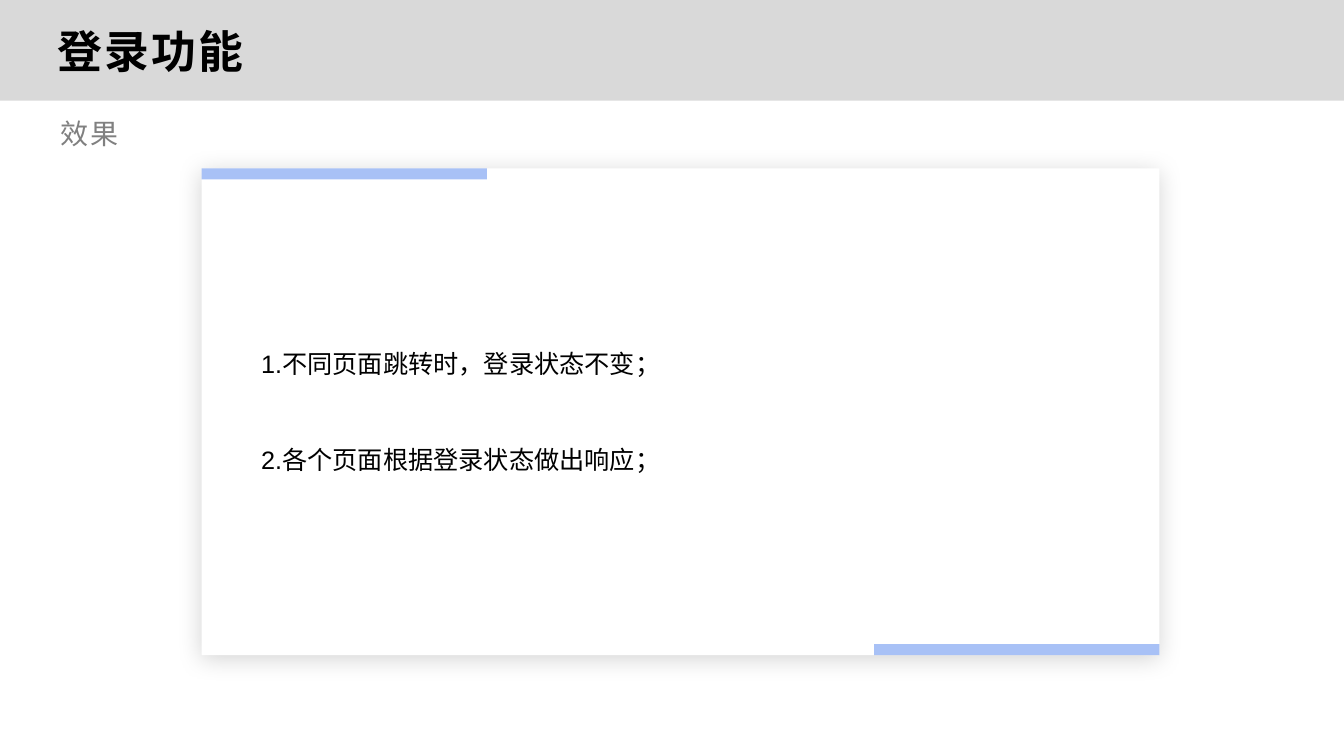
from dataclasses import dataclass
from lxml.etree import SubElement
from pptx import Presentation
from pptx.dml.color import RGBColor
from pptx.enum.shapes import MSO_SHAPE
from pptx.enum.text import MSO_ANCHOR, MSO_AUTO_SIZE, PP_ALIGN
from pptx.oxml.ns import qn
from pptx.util import Inches, Pt

# Content
TITLE = "登录功能"
SUBTITLE = "效果"
POINTS = [
    "1.不同页面跳转时，登录状态不变；",
    "2.各个页面根据登录状态做出响应；",
]


@dataclass(frozen=True)
class Theme:
    band: str = "D9D9D9"
    card: str = "FFFFFF"
    accent: str = "5384EE"
    text: str = "000000"
    muted: str = "808080"
    latin: str = "Arial"
    cjk: str = "Noto Sans CJK SC"
    title_size: float = 32
    subtitle_size: float = 20
    body_size: float = 18
    subtitle_line: float = 32
    body_line: float = 34.6


THEME = Theme()

# Layout in inches
SLIDE_W, SLIDE_H = 13.33, 7.5
BAND_H = 1
CARD_X, CARD_Y, CARD_W, CARD_H = 2, 1.67, 9.5, 4.83
BAR_W, BAR_H = 2.83, 0.11


def add_rect(s, x, y, w, h, color, alpha=None):
    sp = s.shapes.add_shape(MSO_SHAPE.RECTANGLE, Inches(x), Inches(y), Inches(w), Inches(h))
    sp.shadow.inherit = False
    sp.fill.solid()
    sp.fill.fore_color.rgb = RGBColor.from_string(color)
    sp.line.fill.background()
    if alpha is not None:
        clr = sp.element.spPr.find(qn("a:solidFill")).find(qn("a:srgbClr"))
        SubElement(clr, qn("a:alpha"), val=str(alpha * 1000))
    return sp


def add_soft_shadow(sp, blur, dist, alpha):
    effects = sp.element.spPr.find(qn("a:effectLst"))
    shadow = SubElement(effects, qn("a:outerShdw"), blurRad=str(Pt(blur)),
                        dist=str(Pt(dist)), dir="5400000", algn="t", rotWithShape="0")
    clr = SubElement(shadow, qn("a:srgbClr"), val="000000")
    SubElement(clr, qn("a:alpha"), val=str(alpha * 1000))


def place(sp, x, y, w, h):
    sp.left, sp.top, sp.width, sp.height = Inches(x), Inches(y), Inches(w), Inches(h)


def style(p, size, color, latin, bold=False, spacing=0):
    p.alignment = PP_ALIGN.LEFT
    for r in p.runs:
        r.font.size = Pt(size)
        r.font.bold = bold
        r.font.color.rgb = RGBColor.from_string(color)
        r.font.name = latin
        rPr = r.font._element
        rPr.set("spc", str(round(spacing * 100)))
        SubElement(rPr, qn("a:ea"), typeface=THEME.cjk)


def add_title(s):
    title = s.shapes.title
    place(title, 0.5, 0.17, 12.33, 0.67)
    tf = title.text_frame
    tf.text = TITLE
    tf.auto_size = MSO_AUTO_SIZE.NONE
    tf.vertical_anchor = MSO_ANCHOR.MIDDLE
    tf.margin_left = tf.margin_right = Inches(0.07)
    tf.margin_top = tf.margin_bottom = Inches(0.03)
    style(tf.paragraphs[0], THEME.title_size, THEME.text, THEME.cjk, True, 1.6)
    return title


def add_subtitle(s):
    box = s.shapes.add_textbox(Inches(0.5), Inches(1), Inches(1.41), Inches(0.45))
    tf = box.text_frame
    tf.word_wrap = True
    tf.text = SUBTITLE
    p = tf.paragraphs[0]
    p.line_spacing = Pt(THEME.subtitle_line)
    style(p, THEME.subtitle_size, THEME.muted, THEME.latin, spacing=1.5)


def add_points(s):
    body = s.placeholders[1]
    place(body, 2.49, 3.22, 4.9, 1.55)
    tf = body.text_frame
    tf.auto_size = MSO_AUTO_SIZE.NONE
    tf.vertical_anchor = MSO_ANCHOR.TOP
    for i, point in enumerate(POINTS):
        p = tf.add_paragraph() if i else tf.paragraphs[0]
        p.text = point
        pPr = p._p.get_or_add_pPr()
        pPr.set("marL", "0")
        pPr.set("indent", "0")
        SubElement(pPr, qn("a:buNone"))
        p.line_spacing = Pt(THEME.body_line)
        p.space_before = Pt(THEME.body_line if i else 0)
        style(p, THEME.body_size, THEME.text, THEME.latin)
    return body


def main():
    prs = Presentation()
    prs.slide_width, prs.slide_height = Inches(SLIDE_W), Inches(SLIDE_H)
    s = prs.slides.add_slide(prs.slide_layouts[1])

    # Header band and card
    add_rect(s, 0, 0, SLIDE_W, BAND_H, THEME.band)
    card = add_rect(s, CARD_X, CARD_Y, CARD_W, CARD_H, THEME.card)
    add_soft_shadow(card, blur=17, dist=3, alpha=17)

    # Accent bars in opposite corners of the card
    corners = [(CARD_X + CARD_W - BAR_W, CARD_Y + CARD_H - BAR_H), (CARD_X, CARD_Y)]
    for x, y in corners:
        add_rect(s, x, y, BAR_W, BAR_H, THEME.accent, alpha=50)

    # Text, with the placeholders brought in front of the band and card
    tree = card.element.getparent()
    tree.append(add_title(s).element)
    add_subtitle(s)
    tree.append(add_points(s).element)

    prs.save("out.pptx")


if __name__ == "__main__":
    main()
